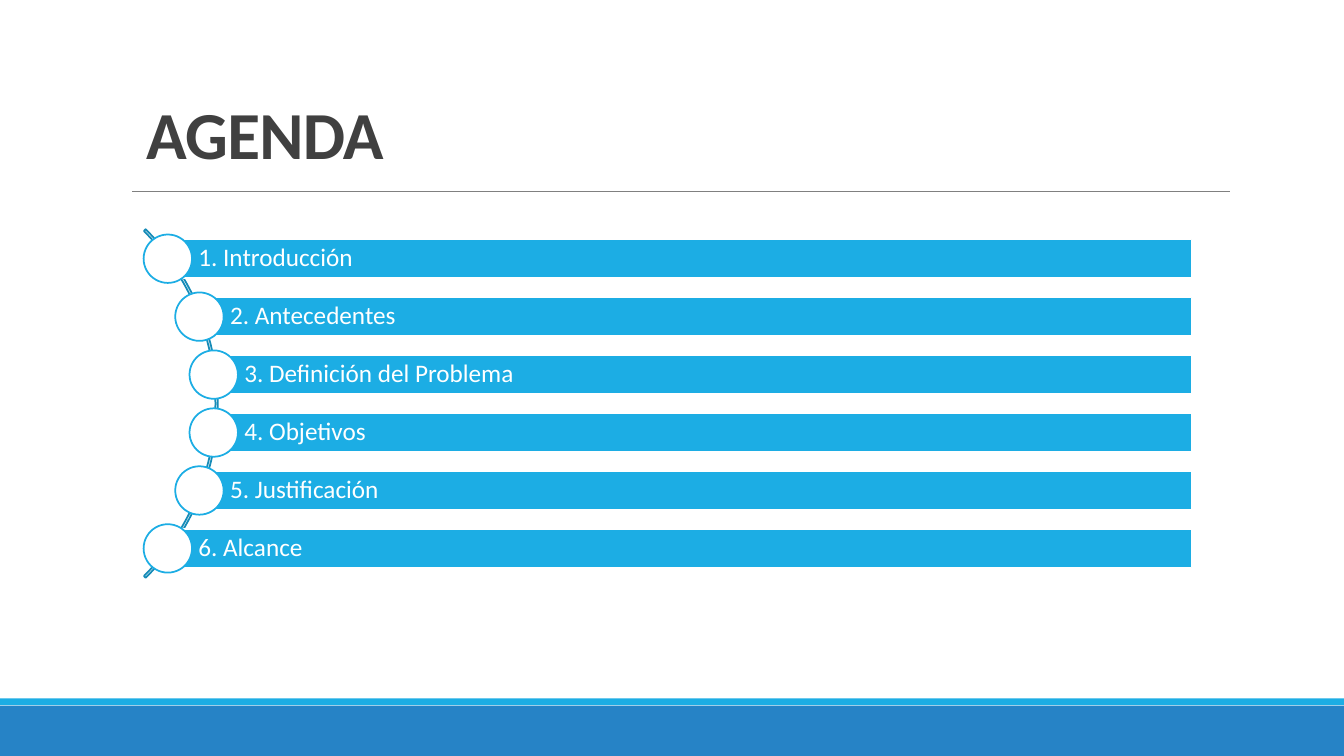
from dataclasses import dataclass
from math import sqrt

from lxml import etree
from pptx import Presentation
from pptx.dml.color import RGBColor
from pptx.enum.shapes import MSO_CONNECTOR, MSO_SHAPE
from pptx.enum.text import MSO_ANCHOR, MSO_AUTO_SIZE, PP_ALIGN
from pptx.oxml.ns import qn
from pptx.util import Cm, Pt

RECTANGLE, OVAL, BLOCK_ARC = MSO_SHAPE.RECTANGLE, MSO_SHAPE.OVAL, MSO_SHAPE.BLOCK_ARC
STRAIGHT = MSO_CONNECTOR.STRAIGHT
MIDDLE, BOTTOM = MSO_ANCHOR.MIDDLE, MSO_ANCHOR.BOTTOM
LEFT = PP_ALIGN.LEFT
NO_AUTOFIT = MSO_AUTO_SIZE.NONE


@dataclass(frozen=True)
class Theme:
    font: str = "Calibri"
    title_size: float = 48
    item_size: float = 18
    outline: float = 1.25
    hairline: float = 0.5
    title: str = "404040"
    white: str = "FFFFFF"
    accent: str = "1CADE4"
    arc: str = "168BB7"
    footer: str = "2683C6"
    rule: str = "808080"


SLIDE_WIDTH, SLIDE_HEIGHT = 33.87, 19.05
TOPICS = ["Introducción", "Antecedentes", "Definición del Problema",
          "Objetivos", "Justificación", "Alcance"]

# Agenda geometry in centimetres: every dot sits on one circle
CENTER_X, CENTER_Y = -0.72, 10.17
DOT_RADIUS_FROM_CENTER = 6.15
ARC_DIAMETER = 12.42
ROW_PITCH = 1.46
BAR_HEIGHT, BAR_RIGHT = 0.97, 30.03
DOT_DIAMETER = 1.22


def write_text(frame, text, *, font, size, color, bold=False, anchor=MIDDLE,
               insets=(0.25, 0.13, 0.25, 0.13), line_spacing=0.9,
               space_after=0, tracking=None):
    frame.word_wrap = True
    frame.auto_size = NO_AUTOFIT
    frame.vertical_anchor = anchor
    (frame.margin_left, frame.margin_top,
     frame.margin_right, frame.margin_bottom) = [Cm(inset) for inset in insets]
    paragraph = frame.paragraphs[0]
    paragraph.alignment = LEFT
    paragraph.line_spacing = line_spacing
    paragraph.space_before = Pt(0)
    paragraph.space_after = Pt(space_after)
    run = paragraph.add_run()
    run.text = text
    run.font.name = font
    run.font.size = Pt(size)
    run.font.bold = bold
    run.font.color.rgb = RGBColor.from_string(color)
    if tracking is not None:
        run.font._element.set("spc", str(int(tracking * 100)))


class SlideBuilder:
    def __init__(self, slide, theme):
        self.slide = slide
        self.theme = theme

    def title(self, text, left, top, width, height):
        title = self.slide.shapes.title
        title.left, title.top = Cm(left), Cm(top)
        title.width, title.height = Cm(width), Cm(height)
        write_text(title.text_frame, text, font=self.theme.font,
                   size=self.theme.title_size, color=self.theme.title, bold=True,
                   anchor=BOTTOM, line_spacing=0.85, tracking=-0.5)

    def shape(self, kind, left, top, width, height, fill=None, line=None, parent=None):
        shapes = (parent or self.slide).shapes
        shape = shapes.add_shape(kind, Cm(left), Cm(top), Cm(width), Cm(height))
        shape.shadow.inherit = False
        if fill:
            shape.fill.solid()
            shape.fill.fore_color.rgb = RGBColor.from_string(fill)
        else:
            shape.fill.background()
        if line:
            shape.line.color.rgb = RGBColor.from_string(line)
            shape.line.width = Pt(self.theme.outline)
        else:
            shape.line.fill.background()
        return shape

    def rule(self, left, right, y):
        rule = self.slide.shapes.add_connector(STRAIGHT, Cm(left), Cm(y), Cm(right), Cm(y))
        rule.line.color.rgb = RGBColor.from_string(self.theme.rule)
        rule.line.width = Pt(self.theme.hairline)
        etree.SubElement(rule._element.spPr, qn("a:effectLst"))

    def agenda(self, topics):
        theme = self.theme
        group = self.slide.shapes.add_group_shape()

        # Guiding arc
        arc = self.shape(BLOCK_ARC, CENTER_X - ARC_DIAMETER / 2, CENTER_Y - ARC_DIAMETER / 2,
                         ARC_DIAMETER, ARC_DIAMETER, line=theme.arc, parent=group)
        for index, value in enumerate((189, 27, 0.005)):
            arc.adjustments[index] = value

        # One bar and one dot per topic
        for index, topic in enumerate(topics):
            offset = (index - (len(topics) - 1) / 2) * ROW_PITCH
            x = CENTER_X + sqrt(DOT_RADIUS_FROM_CENTER ** 2 - offset ** 2)
            y = CENTER_Y + offset
            bar = self.shape(RECTANGLE, x, y - BAR_HEIGHT / 2, BAR_RIGHT - x, BAR_HEIGHT,
                             theme.accent, theme.white, group)
            write_text(bar.text_frame, f"{index + 1}. {topic}", font=theme.font,
                       size=theme.item_size, color=theme.white,
                       insets=(0.77, 0.13, 0.13, 0.13), space_after=6.3)
            self.shape(OVAL, x - DOT_DIAMETER / 2, y - DOT_DIAMETER / 2,
                       DOT_DIAMETER, DOT_DIAMETER, theme.white, theme.accent, group)


def main():
    presentation = Presentation()
    presentation.slide_width = Cm(SLIDE_WIDTH)
    presentation.slide_height = Cm(SLIDE_HEIGHT)
    theme = Theme()
    title_only = presentation.slide_layouts[5]
    builder = SlideBuilder(presentation.slides.add_slide(title_only), theme)

    # Footer bands
    builder.shape(RECTANGLE, 0, 17.78, SLIDE_WIDTH, 1.27, theme.footer)
    builder.shape(RECTANGLE, 0, 17.6, SLIDE_WIDTH, 0.17, theme.accent)

    # Heading
    builder.rule(3.33, 31, 4.83)
    builder.title("AGENDA", 3.43, 0.86, 26.67, 3.63)

    # Topic list
    builder.agenda(TOPICS)

    presentation.save("out.pptx")


if __name__ == "__main__":
    main()
